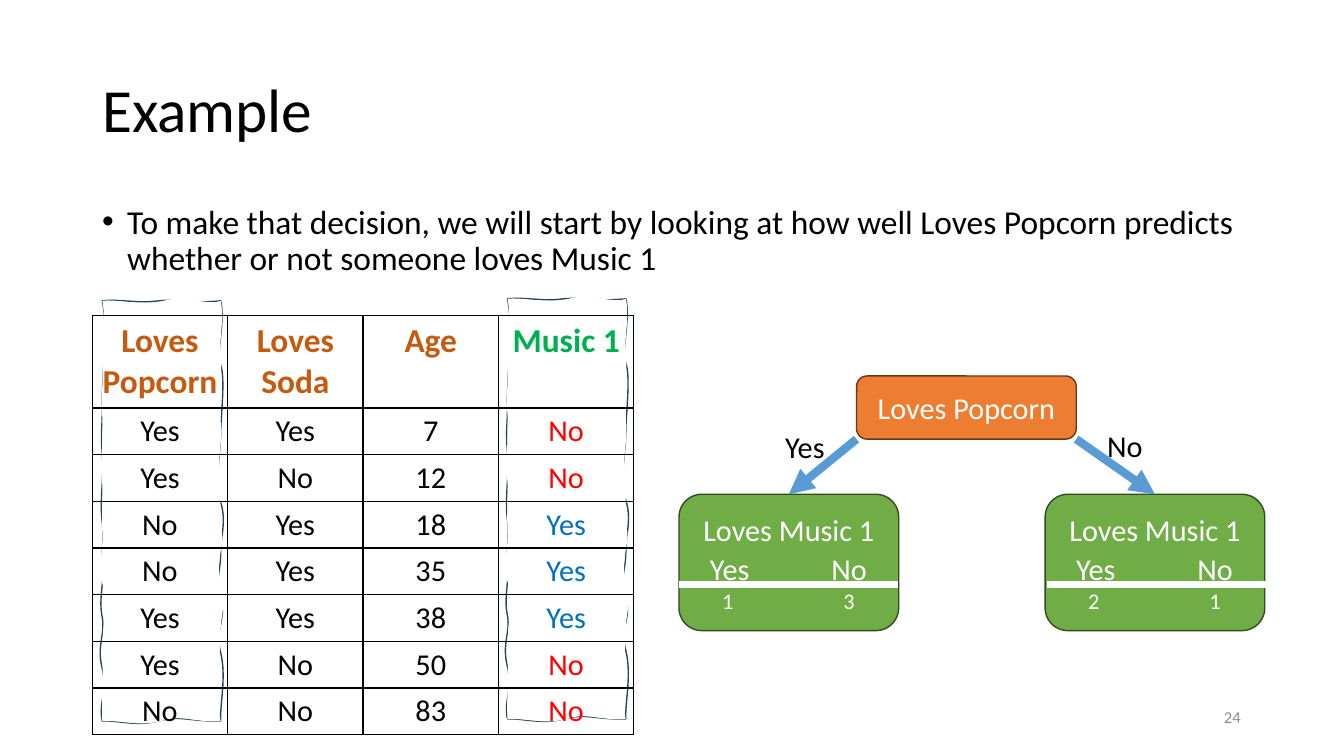
from typing import NamedTuple

import pptx
import pptx.dml.color
import pptx.enum.shapes
import pptx.enum.text
import pptx.oxml
import pptx.oxml.ns
import pptx.util

RGB = pptx.dml.color.RGBColor
SHAPE = pptx.enum.shapes.MSO_SHAPE
ALIGN = pptx.enum.text.PP_ALIGN
ANCHOR = pptx.enum.text.MSO_ANCHOR
Pt = pptx.util.Pt

WHITE, BLACK, GREY = RGB(255, 255, 255), RGB(0, 0, 0), RGB(0x8C, 0x8C, 0x8C)
GREEN, GREEN_EDGE = RGB(0x70, 0xAD, 0x47), RGB(0x31, 0x4C, 0x1F)
ORANGE, ORANGE_EDGE = RGB(0xED, 0x7D, 0x31), RGB(0x68, 0x37, 0x15)
BLUE, NAVY = RGB(0x5B, 0x9B, 0xD5), RGB(0x28, 0x44, 0x5D)
FEATURE, TARGET = RGB(0xC5, 0x5A, 0x11), RGB(0x00, 0xB0, 0x50)
ANSWER = {"Yes": RGB(0x00, 0x70, 0xC0), "No": RGB(0xFF, 0, 0)}
TEXT_SIZE = 21.7
PX = 9144  # EMU in one px, 100 px to the inch


class Label(NamedTuple):
    text: str
    x: int
    y: int
    w: int
    h: int
    size: float = TEXT_SIZE
    color: RGB = BLACK
    anchor: ANCHOR = ANCHOR.TOP
    para: dict = {}
    bullet: int = 0


class Leaf(NamedTuple):
    x: int
    yes: int
    no: int
    rule_x: int
    arrow_x: int


class Curve(NamedTuple):
    x1: int
    y1: int
    x2: int
    y2: int
    x: int
    y: int


# Hand-drawn column frame, measured from its top left corner:
# a wavy outline, and the fill that partly hides it
FRAME_W, FRAME_H = 118, 419
FRAME_CORNERS = [(506, 298), (102, 300)]
OUTLINE = [Curve(*c) for c in [
    (17, -2, 36, 3, 56, 0), (77, -2, 89, 3, 118, 0),
    (123, 21, 113, 51, 118, 64), (123, 78, 118, 116, 118, 132),
    (118, 148, 112, 181, 118, 201), (124, 220, 118, 234, 118, 252),
    (118, 270, 112, 280, 118, 299), (124, 318, 112, 326, 118, 351),
    (124, 375, 117, 404, 118, 419), (88, 420, 78, 413, 56, 419),
    (35, 425, 13, 418, 0, 419), (-4, 402, 5, 391, 0, 367),
    (-6, 344, 3, 334, 0, 316), (-4, 298, 2, 280, 0, 269),
    (-2, 258, 2, 244, 0, 221), (-3, 199, 2, 176, 0, 153),
    (-2, 130, 0, 129, 0, 106), (-1, 83, 6, 27, 0, 0)]]
FILL = [Curve(*c) for c in [
    (15, -2, 43, 6, 61, 0), (79, -6, 107, 5, 118, 0),
    (122, 19, 116, 41, 118, 52), (120, 62, 116, 90, 118, 120),
    (120, 150, 114, 152, 118, 175), (122, 199, 112, 213, 118, 227),
    (124, 241, 112, 256, 118, 282), (124, 309, 117, 315, 118, 334),
    (119, 352, 108, 383, 118, 419), (90, 421, 80, 412, 59, 419),
    (38, 425, 16, 418, 0, 419), (-1, 400, 1, 369, 0, 351),
    (-1, 332, 6, 297, 0, 282), (-6, 268, 1, 254, 0, 231),
    (-1, 208, 1, 204, 0, 184), (-2, 163, 1, 137, 0, 116),
    (-2, 95, 2, 72, 0, 52), (-3, 31, 4, 18, 0, 0)]]

LABELS = [
    Label("Example", 92, 40, 1156, 145, 44, anchor=ANCHOR.MIDDLE,
          para={"line_spacing": 0.9}),
    Label("To make that decision, we will start by looking at how well Loves "
          "Popcorn predicts whether or not someone loves Music 1",
          92, 200, 1156, 100, 24,
          para={"line_spacing": 0.9, "space_before": Pt(10)}, bullet=25),
    Label("24", 946, 695, 301, 40, 12, GREY, ANCHOR.MIDDLE,
          {"alignment": ALIGN.RIGHT}),
]
BRANCHES = [Label("Yes", 773, 422, 68, 47), Label("No", 1094, 421, 68, 47)]

ROOT_X, ROOT_Y, NODE_W, ROOT_H = 854, 375, 219, 63
LEAF_Y, LEAF_H = 493, 136
LEAVES = [Leaf(677, 1, 3, 677, ROOT_X),
          Leaf(1042, 2, 1, 1044, ROOT_X + NODE_W)]
RULE_Y, RULE_W = 583, 218
ANSWER_TABS, COUNT_TABS = (34, 153), (32, 153)

HEADERS = ["Loves Popcorn", "Loves Soda", "Age", "Music 1"]
PEOPLE = [("Yes", "Yes", 7, "No"), ("Yes", "No", 12, "No"),
          ("No", "Yes", 18, "Yes"), ("No", "Yes", 35, "Yes"),
          ("Yes", "Yes", 38, "Yes"), ("Yes", "No", 50, "No"),
          ("No", "No", 83, "No")]
HEADER_H, PEOPLE_H = 92, 326


def px(*values: float) -> list:
    return [pptx.util.Emu(round(v * PX)) for v in values]


def add_xml(parent, tag: str, attrs: str = "", inner: str = "") -> None:
    ns = pptx.oxml.ns.nsdecls("a")
    parent.append(pptx.oxml.parse_xml(f"<a:{tag} {ns} {attrs}>{inner}</a:{tag}>"))


def write(p, text: str, size: float, color: RGB, bold: bool = False,
          **para) -> None:
    for name, value in para.items():
        setattr(p, name, value)
    r = p.add_run()
    r.text = text
    font = {"name": "Calibri", "size": Pt(size), "bold": bold}
    for name, value in font.items():
        setattr(r.font, name, value)
    r.font.color.rgb = color


def add_label(s, label: Label) -> None:
    tf = s.shapes.add_textbox(*px(label.x, label.y, label.w, label.h)).text_frame
    tf.word_wrap, tf.vertical_anchor = True, label.anchor
    p = tf.paragraphs[0]
    write(p, label.text, label.size, label.color, **label.para)
    if label.bullet:
        pPr = p._p.get_or_add_pPr()
        pPr.set("marL", str(label.bullet * PX))
        pPr.set("indent", str(-label.bullet * PX))
        add_xml(pPr, "buFont", 'typeface="Arial"')
        add_xml(pPr, "buChar", 'char="•"')


def style(sp, fill: RGB, edge: RGB) -> None:
    sp.shadow.inherit = False
    sp.fill.solid()
    sp.fill.fore_color.rgb = fill
    sp.line.color.rgb, sp.line.width = edge, Pt(1)


def add_frame(s, x: int, y: int) -> None:
    fb = s.shapes.build_freeform(0, 0, scale=PX)
    fb.add_line_segments([(FRAME_W, 0), (FRAME_W, FRAME_H), (0, FRAME_H)])
    sp = fb.convert_to_shape(*px(x, y))
    style(sp, WHITE, NAVY)
    # Curved sides take the place of the straight ones
    paths = sp._element.spPr.find(pptx.oxml.ns.qn("a:custGeom")).find(
        pptx.oxml.ns.qn("a:pathLst"))
    paths.remove(paths[0])
    for curves, mode in ((OUTLINE, 'fill="none"'), (FILL, 'stroke="0"')):
        inner = '<a:moveTo><a:pt x="0" y="0"/></a:moveTo>'
        for c in curves:
            pts = "".join(f'<a:pt x="{a}" y="{b}"/>'
                          for a, b in zip(c[::2], c[1::2]))
            inner += f"<a:cubicBezTo>{pts}</a:cubicBezTo>"
        add_xml(paths, "path", f'w="{FRAME_W}" h="{FRAME_H}" {mode}',
                inner + "<a:close/>")


def add_node(s, x: int, y: int, h: int, fill: RGB, edge: RGB, text: str):
    sp = s.shapes.add_shape(SHAPE.ROUNDED_RECTANGLE, *px(x, y, NODE_W, h))
    style(sp, fill, edge)
    sp.text_frame.vertical_anchor = ANCHOR.MIDDLE
    write(sp.text_frame.paragraphs[0], text, TEXT_SIZE, WHITE,
          alignment=ALIGN.CENTER)
    return sp


def add_line(s, ends: tuple, color: RGB, width: float):
    cx = s.shapes.add_connector(pptx.enum.shapes.MSO_CONNECTOR.STRAIGHT, *px(*ends))
    cx.line.color.rgb, cx.line.width = color, Pt(width)
    add_xml(cx._element.spPr, "effectLst")
    return cx


def add_leaf(s, leaf: Leaf) -> None:
    sp = add_node(s, leaf.x, LEAF_Y, LEAF_H, GREEN, GREEN_EDGE, "Loves Music 1")
    for text, size, gap, stops in (
            ("\tYes\tNo", TEXT_SIZE, 2.4, ANSWER_TABS),
            (f"\t{leaf.yes}\t{leaf.no}", 16, 0, COUNT_TABS)):
        p = sp.text_frame.add_paragraph()
        write(p, text, size, WHITE, alignment=ALIGN.LEFT, space_before=Pt(gap))
        tabs = "".join(f'<a:tab pos="{t * PX}" algn="ctr"/>' for t in stops)
        add_xml(p._p.get_or_add_pPr(), "tabLst", inner=tabs)
    add_line(s, (leaf.rule_x, RULE_Y, leaf.rule_x + RULE_W, RULE_Y), WHITE, 4.5)
    arrow = add_line(s, (leaf.arrow_x, ROOT_Y + ROOT_H,
                         leaf.x + NODE_W / 2, LEAF_Y), BLUE, 6)
    arrow.end_connect(sp, 0)
    add_xml(arrow.line._get_or_add_ln(), "tailEnd", 'type="triangle"')


def add_people_table(s) -> None:
    rows = [HEADERS] + PEOPLE
    table = s.shapes.add_table(len(rows), len(HEADERS), *px(
        92, 315, 540, HEADER_H + PEOPLE_H)).table
    table.first_row = table.horz_banding = False
    edge = '<a:solidFill><a:srgbClr val="000000"/></a:solidFill>'
    for i, row in enumerate(rows):
        table.rows[i].height = px(PEOPLE_H / len(PEOPLE) if i else HEADER_H)[0]
        for j, value in enumerate(row):
            cell, last = table.cell(i, j), j == len(HEADERS) - 1
            if i == 0:
                size, color = 24, TARGET if last else FEATURE
            else:
                size, color = TEXT_SIZE, ANSWER[value] if last else BLACK
            write(cell.text_frame.paragraphs[0], str(value), size, color,
                  bold=i == 0, alignment=ALIGN.CENTER)
            for side in ("lnL", "lnR", "lnT", "lnB"):
                add_xml(cell._tc.get_or_add_tcPr(), side, 'w="12700"', edge)
            cell.fill.background()


def main() -> None:
    prs = pptx.Presentation()
    prs.slide_width, prs.slide_height = px(1340, 750)
    s = prs.slides.add_slide(prs.slide_layouts[6])
    # Frames behind the compared columns
    for x, y in FRAME_CORNERS:
        add_frame(s, x, y)
    # Title, bullet and page number
    for label in LABELS:
        add_label(s, label)
    # Decision tree
    add_node(s, ROOT_X, ROOT_Y, ROOT_H, ORANGE, ORANGE_EDGE, "Loves Popcorn")
    for leaf in LEAVES:
        add_leaf(s, leaf)
    # Data and branch names
    add_people_table(s)
    for label in BRANCHES:
        add_label(s, label)
    prs.save("out.pptx")


if __name__ == "__main__":
    main()
